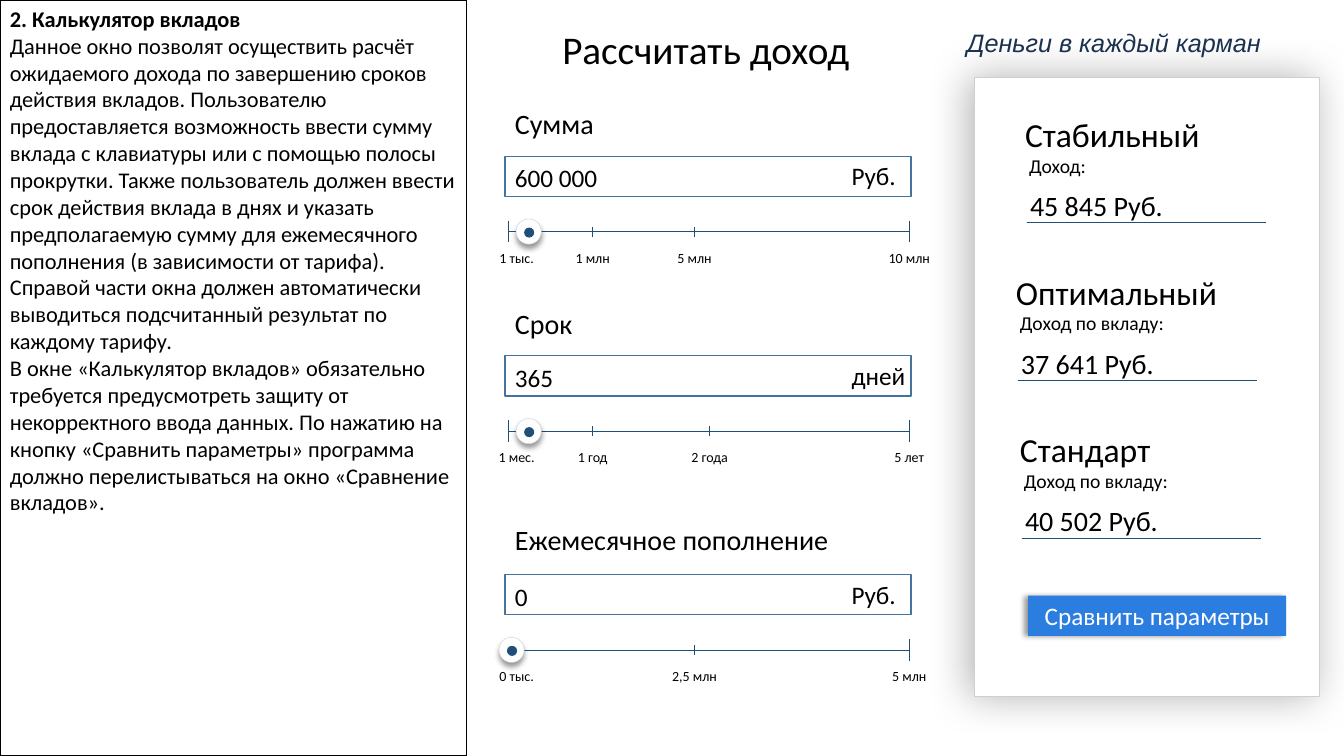
from pptx import Presentation
from pptx.dml.color import RGBColor as Rgb
from pptx.enum.shapes import MSO_CONNECTOR as Link, MSO_SHAPE as Form
from pptx.enum.text import MSO_ANCHOR as Hold, PP_ALIGN as Align
from pptx.oxml.ns import qn
from pptx.util import Inches, Pt
from lxml.etree import SubElement as Sub

COLS, ROWS = 133.33, 75
HUES = {"ink": "000000", "white": "FFFFFF", "edge": "D0CECE", "field": "43739E",
        "navy": "1F4E79", "button": "2C7DE0", "motto": "1B3150"}
BODY = {"size": Pt(16), "name": "Calibri"}
HEAD = {**BODY, "bold": True}
MOTTO = {"size": Pt(18), "name": "Arial", "italic": True}
ABOUT = [
    "2. Калькулятор вкладов",
    "Данное окно позволят осуществить расчёт ожидаемого дохода по завершению сроков "
    "действия вкладов. Пользователю предоставляется возможность ввести сумму вклада с "
    "клавиатуры или с помощью полосы прокрутки. Также пользователь должен ввести срок "
    "действия вклада в днях и указать предполагаемую сумму для ежемесячного пополнения "
    "(в зависимости от тарифа).",
    "Справой части окна должен автоматически выводиться подсчитанный результат по "
    "каждому тарифу.",
    "В окне «Калькулятор вкладов» обязательно требуется предусмотреть защиту от "
    "некорректного ввода данных. По нажатию на кнопку «Сравнить параметры» программа "
    "должно перелистываться на окно «Сравнение вкладов».",
]
INPUTS = [
    ((50.1, 10.1, 40.3, 16.8), "Сумма", "600 000", "Руб.", 1.1,
     {0.3: "1 тыс.", 8.7: "1 млн", 18.8: "5 млн", 40.1: "10 млн"}),
    ((50.1, 29.9, 40.3, 16.8), "Срок", "365", "дней", 1.1,
     {0.3: "1 мес.", 8.7: "1 год", 20.3: "2 года", 40.1: "5 лет"}),
    ((50.1, 51.3, 40.3, 17.1), "Ежемесячное пополнение", "0", "Руб.", -0.6,
     {0.3: "0 тыс.", 18.8: "2,5 млн", 40.1: "5 млн"}),
]
PLANS = [
    (4.0, "Стабильный", "Доход:", "45 845\u00a0Руб."),
    (3.1, "Оптимальный", "Доход по вкладу:", "37 641\u00a0Руб."),
    (3.5, "Стандарт", "Доход по вкладу:", "40 502\u00a0Руб."),
]


def cells(*nums):
    """Turn grid cells of a tenth of an inch into lengths."""
    return [Inches(num / 10) for num in nums]


def style(run, fmt, hue):
    """Set the font of a run."""
    for key, val in fmt.items():
        setattr(run.font, key, val)
    run.font.color.rgb = Rgb.from_string(HUES[hue])


def fill_text(frame, lines, fmts, hue="ink", align=Align.LEFT, hold=Hold.TOP):
    """Write one paragraph per line into a text frame."""
    for key, val in {"word_wrap": True, "vertical_anchor": hold}.items():
        setattr(frame, key, val)
    for num, (line, fmt) in enumerate(zip(lines, fmts)):
        para = frame.add_paragraph() if num else frame.paragraphs[0]
        para.alignment = align
        run = para.add_run()
        run.text = line
        style(run, fmt, hue)


def label(page, box, text, size, fmt=BODY, **look):
    """Place a one-line text box."""
    frame = page.shapes.add_textbox(*cells(*box)).text_frame
    fill_text(frame, [text], [{**fmt, "size": Pt(size)}], **look)


def block(page, form, box, fill=None, edge=None, width=1, shade=None):
    """Place a shape with fill, edge and an optional shade."""
    item = page.shapes.add_shape(form, *cells(*box))
    item.shadow.inherit = False
    if fill:
        item.fill.solid()
        item.fill.fore_color.rgb = Rgb.from_string(HUES[fill])
    else:
        item.fill.background()
    if edge:
        item.line.color.rgb = Rgb.from_string(HUES[edge])
        item.line.width = Pt(width)
    else:
        item.line.fill.background()
    if shade:
        alpha, blur, dist, turn = shade
        cast = Sub(item.element.spPr.find(qn("a:effectLst")), qn("a:outerShdw"),
                   blurRad=str(Pt(blur)), dist=str(Pt(dist)), dir=str(turn * 60000),
                   algn="ctr", rotWithShape="0")
        tint = Sub(cast, qn("a:srgbClr"), val=HUES["ink"])
        Sub(tint, qn("a:alpha"), val=str(alpha * 1000))
    return item


def rule(page, *ends):
    """Draw a thin navy line."""
    line = page.shapes.add_connector(Link.STRAIGHT, *cells(*ends))
    line.line.color.rgb = Rgb.from_string(HUES["navy"])
    line.line.width = Pt(0.5)
    Sub(line.element.spPr, qn("a:effectLst"))


def panel(page, box):
    """Place the framed description."""
    item = block(page, Form.RECTANGLE, box, edge="ink")
    fill_text(item.text_frame, ABOUT, [HEAD] + [BODY] * (len(ABOUT) - 1))


def slider(page, box, stops, knob):
    """Place a scale with ticks, captions and a knob."""
    left, top, wide, tall = box
    mid = top + tall / 2
    first, last = min(stops), max(stops)
    rule(page, left + first, mid, left + last, mid)
    for stop, text in stops.items():
        spot = left + stop
        half = tall / 2 if stop in (first, last) else 0.5
        rule(page, spot, mid - half, spot, mid + half)
        shift = 0.85 if stop == first else 0
        label(page, (spot + shift - 4, mid + 1.25, 8, 2.7), text, 10, align=Align.CENTER)
    block(page, Form.OVAL, (left + knob, mid - 1.25, 2.5, 2.5), "white", "edge",
          0.25, (40, 4, 3, 90))
    block(page, Form.OVAL, (left + knob + 0.8, mid - 0.4, 1, 1), "navy")


def entry(page, box, title, value, unit, knob, stops):
    """Place a titled input field with its slider."""
    left, top, wide, tall = box
    field = top + tall - 11.4
    label(page, (left, top, wide, 4.4), title, 20)
    block(page, Form.RECTANGLE, (left, field, wide, 4), edge="field")
    label(page, (left, field + 0.15, 20, 4), value, 18)
    label(page, (left + 33.4, field - 0.05, 9, 4), unit, 18)
    slider(page, (left, field + 6.4, wide, 2.15), stops, knob)


def plan(page, box, name, note, sum_text):
    """Place one deposit with its income."""
    left, top, wide, tall = box
    label(page, (left, top, wide, 5), name, 24)
    label(page, (left + 0.4, top + 3.95, wide, 3.4), note, 14)
    label(page, (left + 0.5, top + 7.4, wide, 4.4), sum_text, 20)
    rule(page, left + 1.15, top + tall, left + wide, top + tall)


def card(page, box):
    """Place the shaded card of results and its button."""
    left, top, wide, tall = box
    block(page, Form.RECTANGLE, box, "white", "edge", 1, (29, 30, 4, 185))
    for num, (shift, *texts) in enumerate(PLANS):
        plan(page, (left + shift, top + 3.1 + 15.65 * num, 24.9, 11.3), *texts)
    key = block(page, Form.RECTANGLE, (left + 5.3, top + tall - 10, 25.6, 4),
                "button", shade=(40, 4, 3, 180))
    fill_text(key.text_frame, ["Сравнить параметры"], [{**BODY, "size": Pt(18)}],
              "white", Align.CENTER, Hold.MIDDLE)


def build():
    """Build the deposit calculator slide."""
    deck = Presentation()
    deck.slide_width, deck.slide_height = cells(COLS, ROWS)
    page = deck.slides.add_slide(deck.slide_layouts[6])
    label(page, (54.8, 2, 34, 5.7), "Рассчитать доход", 28)
    for data in INPUTS:
        entry(page, *data)
    card(page, (96.7, 7.7, 34.2, 61.4))
    panel(page, (0, 0, 46.3, ROWS))
    label(page, (89, 2.2, 43, 4), "Деньги в каждый карман", 18, MOTTO,
          hue="motto", align=Align.CENTER)
    deck.save("out.pptx")


build()
